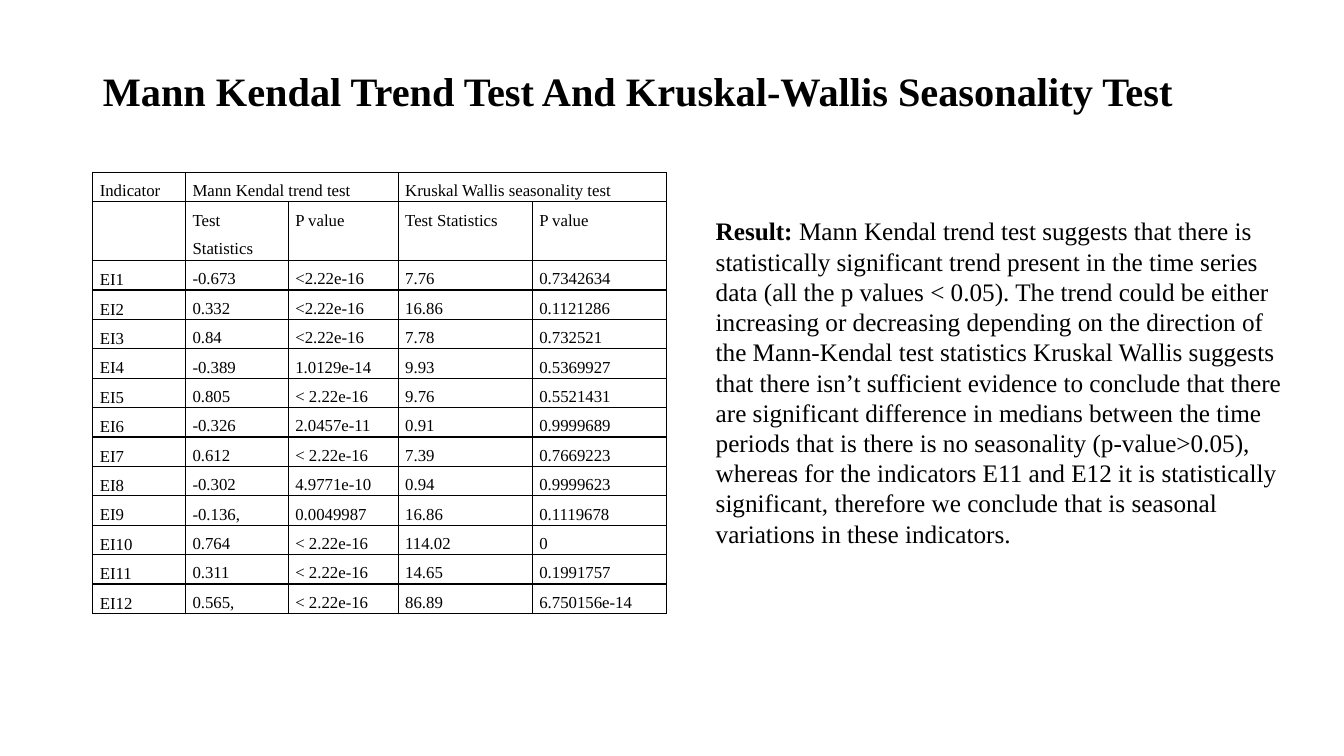
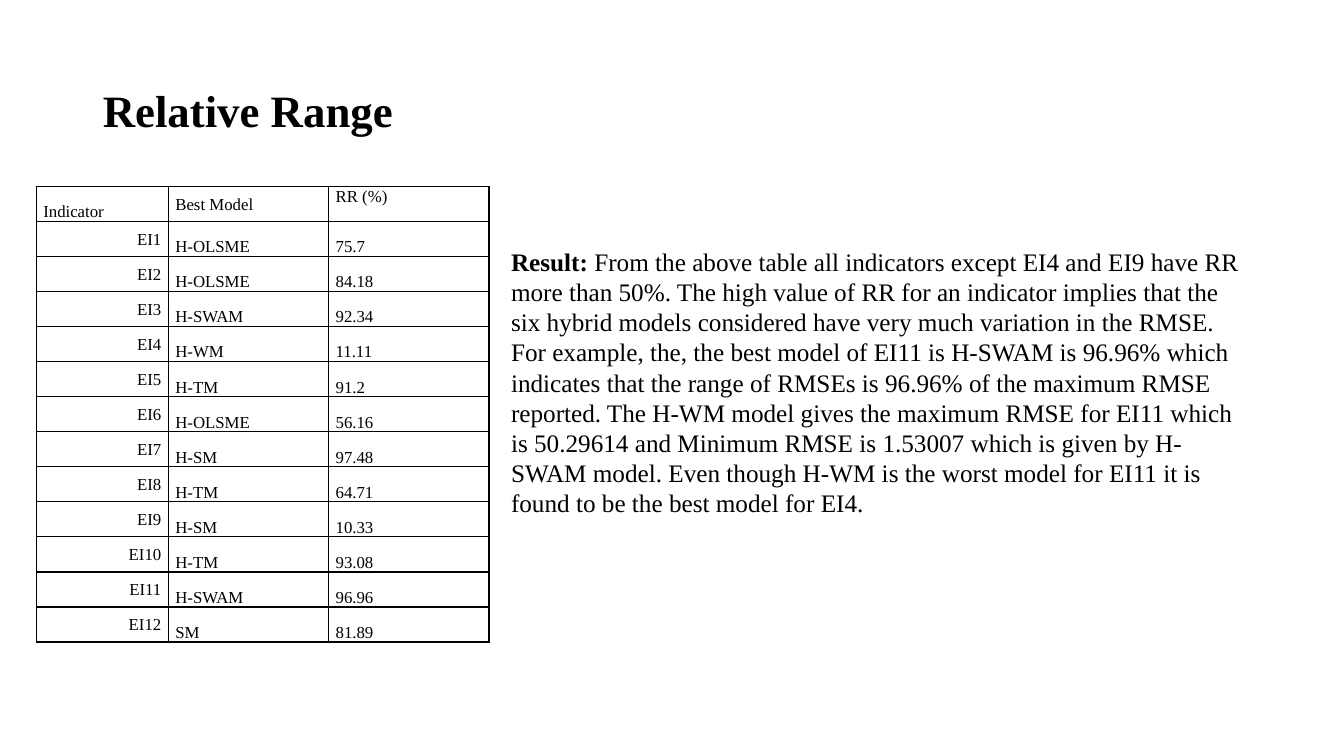
from dataclasses import dataclass

from lxml import etree
from pptx import Presentation
from pptx.dml.color import RGBColor
from pptx.enum import text as t
from pptx.oxml import ns
from pptx.util import Inches, Pt


@dataclass(frozen=True)
class Theme:
    font: str = "Times New Roman"
    ink: str = "000000"
    paper: str = "FFFFFF"
    title_size: float = 32
    long_title_size: float = 28.8
    body_size: float = 18
    cell_size: float = 12
    border: float = 1
    cell_inset: float = 0.07


THEME = Theme()
LEFT, RIGHT, JUSTIFY = t.PP_ALIGN.LEFT, t.PP_ALIGN.RIGHT, t.PP_ALIGN.JUSTIFY
TOP, MIDDLE, BOTTOM = t.MSO_ANCHOR.TOP, t.MSO_ANCHOR.MIDDLE, t.MSO_ANCHOR.BOTTOM
TITLE_ONLY = 5

TREND_HEADERS = [
    ["Indicator", "Mann Kendal trend test", "", "Kruskal Wallis seasonality test", ""],
    ["", "Test Statistics", "P value", "Test Statistics", "P value"],
]
TREND_VALUES = [
    ["-0.673", "<2.22e-16", "7.76", "0.7342634"],
    ["0.332", "<2.22e-16", "16.86", "0.1121286"],
    ["0.84", "<2.22e-16", "7.78", "0.732521"],
    ["-0.389", "1.0129e-14", "9.93", "0.5369927"],
    ["0.805", "< 2.22e-16", "9.76", "0.5521431"],
    ["-0.326", "2.0457e-11", "0.91", "0.9999689"],
    ["0.612", "< 2.22e-16", "7.39", "0.7669223"],
    ["-0.302", "4.9771e-10", "0.94", "0.9999623"],
    ["-0.136,", "0.0049987", "16.86", "0.1119678"],
    ["0.764", "< 2.22e-16", "114.02", "0"],
    ["0.311", "< 2.22e-16", "14.65", "0.1991757"],
    ["0.565,", "< 2.22e-16", "86.89", "6.750156e-14"],
]
TREND_RESULT = (
    "Mann Kendal trend test suggests that there is statistically significant trend "
    "present in the time series data (all the p values < 0.05). The trend could be "
    "either increasing or decreasing depending on the direction of the Mann-Kendal "
    "test statistics Kruskal Wallis suggests that there isn’t sufficient evidence to "
    "conclude that there are significant difference in medians between the time "
    "periods that is there is no seasonality (p-value>0.05), whereas for the "
    "indicators E11 and E12 it is statistically significant, therefore we conclude "
    "that is seasonal variations in these indicators."
)

RANGE_HEADERS = [["Indicator", "Best Model", "RR (%)"]]
RANGE_VALUES = [
    ["H-OLSME", "75.7"],
    ["H-OLSME", "84.18"],
    ["H-SWAM", "92.34"],
    ["H-WM", "11.11"],
    ["H-TM", "91.2"],
    ["H-OLSME", "56.16"],
    ["H-SM", "97.48"],
    ["H-TM", "64.71"],
    ["H-SM", "10.33"],
    ["H-TM", "93.08"],
    ["H-SWAM", "96.96"],
    ["SM", "81.89"],
]
RANGE_RESULT = (
    "From the above table all indicators except EI4 and EI9 have RR more than 50%. "
    "The high value of RR for an indicator implies that the six hybrid models "
    "considered have very much variation in the RMSE. For example, the, the best "
    "model of EI11 is H-SWAM is 96.96% which indicates that the range of RMSEs is "
    "96.96% of the maximum RMSE reported. The H-WM model gives the maximum RMSE for "
    "EI11 which is 50.29614 and Minimum RMSE is 1.53007 which is given by H-SWAM "
    "model. Even though H-WM is the worst model for EI11 it is found to be the best "
    "model for EI4."
)


def write_text(frame, *runs, size, align=LEFT, spacing=1.0):
    """Fill the first paragraph with (text, bold) runs."""
    paragraph = frame.paragraphs[0]
    paragraph.alignment = align
    paragraph.line_spacing = spacing
    for words, bold in runs:
        run = paragraph.add_run()
        run.text = words
        run.font.name = THEME.font
        run.font.size = Pt(size)
        run.font.bold = bold
        run.font.color.rgb = RGBColor.from_string(THEME.ink)


def add_titled_slide(presentation, title, height, size):
    slide = presentation.slides.add_slide(presentation.slide_layouts[TITLE_ONLY])
    shape = slide.shapes.title
    shape.left, shape.top = Inches(0.92), Inches(0.4)
    shape.width, shape.height = Inches(11.5), Inches(height)
    frame = shape.text_frame
    frame.auto_size = t.MSO_AUTO_SIZE.NONE
    frame.vertical_anchor = MIDDLE
    write_text(frame, (title, True), size=size, spacing=0.9)
    return slide


def add_result(slide, left, top, width, height, words):
    box = slide.shapes.add_textbox(*map(Inches, (left, top, width, height)))
    box.text_frame.word_wrap = True
    box.text_frame.auto_size = t.MSO_AUTO_SIZE.SHAPE_TO_FIT_TEXT
    write_text(box.text_frame, ("Result: ", True), (words, False), size=THEME.body_size)


def style_cell(cell, anchor):
    cell.margin_left = cell.margin_right = Inches(THEME.cell_inset)
    cell.margin_top = cell.margin_bottom = 0
    cell.vertical_anchor = anchor
    properties = cell._tc.get_or_add_tcPr()
    for side in ("lnL", "lnR", "lnT", "lnB"):
        line = etree.SubElement(properties, ns.qn(f"a:{side}"), w=str(Pt(THEME.border)))
        fill = etree.SubElement(line, ns.qn("a:solidFill"))
        etree.SubElement(fill, ns.qn("a:srgbClr"), val=THEME.ink)
    cell.fill.solid()
    cell.fill.fore_color.rgb = RGBColor.from_string(THEME.paper)


def add_grid(slide, left, top, columns, row_heights, rows, spacing, cell_format):
    """Add a ruled table; cell_format(row, column) gives alignment and anchor."""
    table = slide.shapes.add_table(
        len(rows), len(columns), Inches(left), Inches(top),
        Inches(sum(columns)), Inches(sum(row_heights)),
    ).table
    table.first_row = table.horz_banding = False
    for column, width in zip(table.columns, columns):
        column.width = Inches(width)
    for row, height in zip(table.rows, row_heights):
        row.height = Inches(height)
    for r, values in enumerate(rows):
        for c, value in enumerate(values):
            align, anchor = cell_format(r, c)
            cell = table.cell(r, c)
            style_cell(cell, anchor)
            if value:
                write_text(cell.text_frame, (value, False), size=THEME.cell_size,
                           align=align, spacing=spacing)
    return table


def with_indicators(values):
    return [[f"EI{number}", *row] for number, row in enumerate(values, 1)]


def trend_format(row, column):
    return JUSTIFY, MIDDLE if row > 1 and column == 0 else TOP


def range_format(row, column):
    if row == 0:
        return LEFT, (BOTTOM, MIDDLE, TOP)[column]
    return (RIGHT, MIDDLE) if column == 0 else (LEFT, BOTTOM)


def add_trend_slide(presentation):
    slide = add_titled_slide(
        presentation, "Mann Kendal Trend Test And Kruskal-Wallis Seasonality Test",
        1.06, THEME.long_title_size)
    rows = TREND_HEADERS + with_indicators(TREND_VALUES)
    line = 4.38 / (len(rows) + 1)  # the second header row is two lines tall
    heights = [2 * line if r == 1 else line for r in range(len(rows))]
    table = add_grid(slide, 0.92, 1.71, [0.92, 1.02, 1.09, 1.33, 1.33], heights,
                     rows, 1.5, trend_format)
    for column in (1, 3):
        table.cell(0, column).merge(table.cell(0, column + 1))
    add_result(slide, 7, 2.09, 5.85, 3.74, TREND_RESULT)


def add_range_slide(presentation):
    slide = add_titled_slide(presentation, "Relative Range", 1.45, THEME.title_size)
    rows = RANGE_HEADERS + with_indicators(RANGE_VALUES)
    heights = [4.52 / len(rows)] * len(rows)
    add_grid(slide, 0.36, 1.85, [1.31, 1.59, 1.59], heights, rows, 1.07, range_format)
    add_result(slide, 4.97, 2.39, 7.45, 3.13, RANGE_RESULT)


def main():
    presentation = Presentation()
    presentation.slide_width, presentation.slide_height = Inches(13.33), Inches(7.5)
    add_trend_slide(presentation)
    add_range_slide(presentation)
    presentation.save("out.pptx")


if __name__ == "__main__":
    main()
